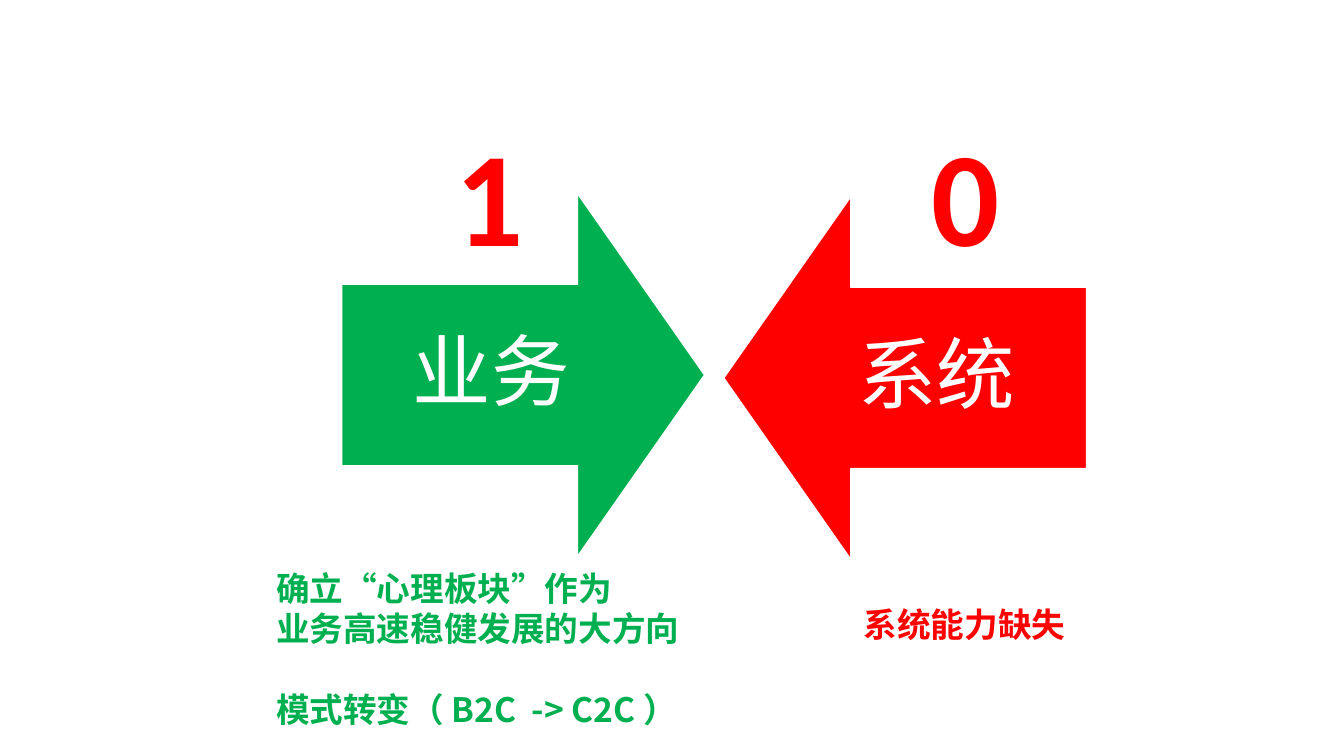
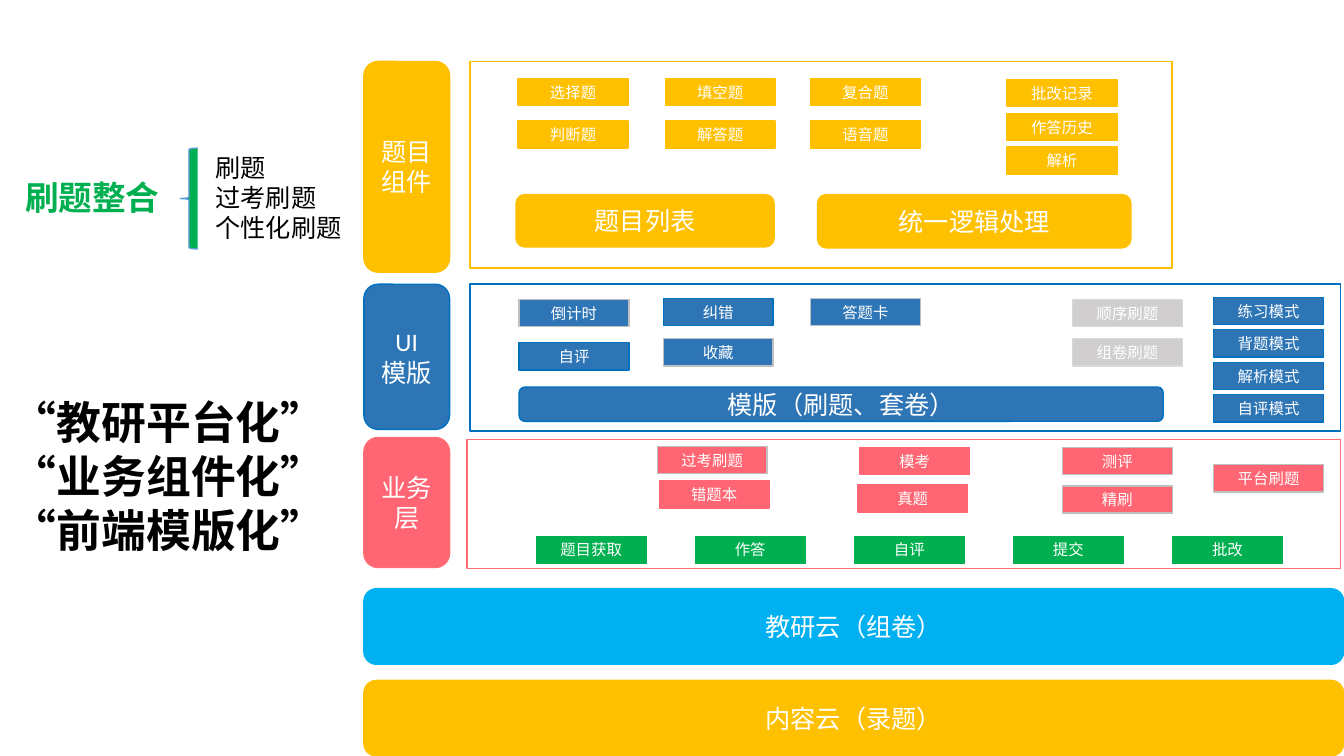
from pptx import Presentation
from pptx.dml.color import RGBColor
from pptx.enum.shapes import MSO_SHAPE as Shape
from pptx.enum.text import MSO_ANCHOR as Anchor, MSO_AUTO_SIZE as AutoSize, PP_ALIGN as Align
from pptx.util import Inches, Pt

CELL = Inches(0.1)
COLUMNS, ROWS = 133.33, 75
CHIP_WIDTH, CHIP_HEIGHT = 10.9, 2.7
LAYER_LEFT, LAYER_WIDTH = 36.1, 8.5
BODY, CHIP, HEAVY = "Calibri", "Roboto", "Noto Sans CJK SC"
WHITE, BLACK, GREEN, RED = "FFFFFF", "000000", "00B050", "FF0000"
AMBER, BLUE, BLUE_EDGE, SKY = "FFC000", "2E75B6", "0070C0", "00B0F0"
PINK, PINK_EDGE, SILVER = "FF6572", "FF6E73", "BFBFBF"
PALE, PALE_EDGE, BRACE_EDGE = "D0CECE", "D9D9D9", "5B9BD5"

LAYERS = [
    (6.1, 20.9, ["题目组件"], AMBER, AMBER),
    (28.2, 14.4, ["UI", "模版"], BLUE, BLUE_EDGE),
    (43.4, 12.9, ["业务层"], PINK, PINK_EDGE),
]
FRAMES = [
    (46.6, 6.1, 69.7, 20.5, AMBER),
    (46.6, 28.2, 86.4, 14.6, BLUE_EDGE),
    (46.3, 43.6, 86.7, 12.8, PINK_EDGE),
]
BARS = [
    (51.2, 19.3, 25.6, 5.2, "题目列表", AMBER, AMBER),
    (81.1, 19.3, 31.1, 5.3, "统一逻辑处理", AMBER, AMBER),
    (51.5, 38.4, 63.9, 3.4, "模版（刷题、套卷）", BLUE, BLUE_EDGE),
    (LAYER_LEFT, 58.4, 97.2, 7.5, "教研云（组卷）", SKY, SKY),
    (LAYER_LEFT, 67.5, 97.2, 7.5, "内容云（录题）", AMBER, AMBER),
]
CHIP_STACKS = [
    (51.4, 7.8, 4.2, ["选择题", "判断题"], AMBER, AMBER),
    (66, 7.8, 4.2, ["填空题", "解答题"], AMBER, AMBER),
    (80.4, 7.8, 4.2, ["复合题", "语音题"], AMBER, AMBER),
    (99.9, 7.9, 3.35, ["批改记录", "作答历史", "解析"], AMBER, AMBER),
    (51.5, 29.7, 0, ["倒计时"], BLUE, SILVER),
    (51.5, 34, 0, ["自评"], BLUE, BLUE_EDGE),
    (65.8, 29.6, 0, ["纠错"], BLUE, BLUE_EDGE),
    (65.8, 33.6, 0, ["收藏"], BLUE, SILVER),
    (80.4, 29.6, 0, ["答题卡"], BLUE, SILVER),
    (106.4, 29.7, 3.9, ["顺序刷题", "组卷刷题"], PALE, PALE_EDGE),
    (120.4, 29.5, 3.22, ["练习模式", "背题模式", "解析模式", "自评模式"], BLUE, BLUE_EDGE),
    (65.2, 44.3, 0, ["过考刷题"], PINK, SILVER),
    (65.4, 47.7, 0, ["错题本"], PINK, PINK),
    (85.3, 44.4, 0, ["模考"], PINK, PINK),
    (85.1, 48.1, 0, ["真题"], PINK, PINK),
    (105.4, 44.4, 3.8, ["测评", "精刷"], PINK, SILVER),
    (120.4, 46.1, 0, ["平台刷题"], PINK, SILVER),
]
STEPS = ["题目获取", "作答", "自评", "提交", "批改"]


def color(hex_code):
    """Turn a hex string into a colour."""
    return RGBColor.from_string(hex_code)


def cells(*counts):
    """Turn counts of grid cells into lengths."""
    return [round(count * CELL) for count in counts]


def write(frame, lines, size, font, ink, bold=False, align=Align.LEFT):
    """Write one paragraph per line and return the paragraphs."""
    for index, line in enumerate(lines):
        paragraph = frame.add_paragraph() if index else frame.paragraphs[0]
        paragraph.text = line
        paragraph.alignment = align
        paragraph.font.size = Pt(size)
        paragraph.font.name = font
        paragraph.font.bold = bold
        paragraph.font.color.rgb = color(ink)
    return frame.paragraphs


def add_note(slide, area, lines, size, ink, font=HEAVY, bold=True):
    """Add unwrapped free text and return its paragraphs."""
    frame = slide.shapes.add_textbox(*cells(*area)).text_frame
    frame.word_wrap = False
    frame.auto_size = AutoSize.SHAPE_TO_FIT_TEXT
    return write(frame, lines, size, font, ink, bold)


def add_block(slide, kind, area, fill, edge, weight=1):
    """Add a flat shape, hollow when fill is None."""
    block = slide.shapes.add_shape(kind, *cells(*area))
    block.shadow.inherit = False
    if fill:
        block.fill.solid()
        block.fill.fore_color.rgb = color(fill)
    else:
        block.fill.background()
    block.line.color.rgb = color(edge)
    block.line.width = Pt(weight)
    return block


def add_labelled(slide, kind, area, lines, fill, edge, size=18, font=BODY):
    """Add a shape with centred white text."""
    frame = add_block(slide, kind, area, fill, edge).text_frame
    frame.word_wrap = True
    frame.vertical_anchor = Anchor.MIDDLE
    write(frame, lines, size, font, WHITE, align=Align.CENTER)


def add_chip(slide, left, top, label, fill, edge):
    """Add one small feature chip."""
    area = (left, top, CHIP_WIDTH, CHIP_HEIGHT)
    add_labelled(slide, Shape.RECTANGLE, area, [label], fill, edge, 11, CHIP)


def add_arrow(slide, left, top, turn, label_left, label, fill):
    """Add a turned block arrow with its label over the shaft."""
    arrow = add_block(slide, Shape.DOWN_ARROW, (left, top, 36, 36), fill, WHITE)
    arrow.rotation = turn
    arrow.adjustments[0] = 0.5
    arrow.adjustments[1] = 0.35
    frame = slide.shapes.add_textbox(*cells(label_left, top + 9, 29.7, 18)).text_frame
    frame.word_wrap = True
    frame.vertical_anchor = Anchor.MIDDLE
    frame.margin_left = frame.margin_right = Inches(0.44)
    frame.margin_top = frame.margin_bottom = Inches(0.44)
    write(frame, [label], 56, BODY, WHITE, align=Align.CENTER)[0].line_spacing = 0.9


def build_conflict(slide):
    """Set business against system."""
    direction = ["确立“心理板块”作为", "业务高速稳健发展的大方向", "模式转变（ B2C  -> C2C ）"]
    goals = add_note(slide, (26.4, 55.8, 44.5, 17.2), direction, 24, GREEN)
    goals[-1].space_before = Pt(29)
    add_arrow(slide, 33.9, 19.2, 270, 33.9, "业务", GREEN)
    add_arrow(slide, 71.8, 19.5, 90, 78.1, "系统", RED)
    add_note(slide, (84.7, 59.4, 22.2, 5), ["系统能力缺失"], 24, RED)
    for left, score in ((91.4, "0"), (44.2, "1")):
        add_note(slide, (left, 10.6, 8.8, 17.2), [score], 96, RED, BODY)


def build_architecture(slide):
    """Show the layers of the question platform."""
    for *area, edge in FRAMES:
        add_block(slide, Shape.RECTANGLE, area, None, edge, 1.25)
    for top, height, lines, fill, edge in LAYERS:
        area = (LAYER_LEFT, top, LAYER_WIDTH, height)
        add_labelled(slide, Shape.ROUNDED_RECTANGLE, area, lines, fill, edge)
    for *area, label, fill, edge in BARS:
        add_labelled(slide, Shape.ROUNDED_RECTANGLE, area, [label], fill, edge)
    for left, top, pitch, labels, fill, edge in CHIP_STACKS:
        for row, label in enumerate(labels):
            add_chip(slide, left, top + row * pitch, label, fill, edge)
    for column, step in enumerate(STEPS):
        add_chip(slide, 53.2 + column * 15.78, 53.2, step, GREEN, GREEN)
    slogans = ["“教研平台化”", "“业务组件化”", "“前端模版化”"]
    add_note(slide, (0.2, 38.7, 34, 17.2), slogans, 32, BLACK, BODY)
    add_note(slide, (1.5, 17.1, 15.5, 5), ["刷题整合"], 24, GREEN)
    practice = ["刷题", "过考刷题", "个性化刷题"]
    add_note(slide, (20.4, 14.6, 14.6, 10.1), practice, 18, BLACK, bold=False)
    add_block(slide, Shape.LEFT_BRACE, (17.9, 14.7, 1.7, 10), GREEN, BRACE_EDGE)


def main():
    """Build and save the deck."""
    deck = Presentation()
    deck.slide_width, deck.slide_height = cells(COLUMNS, ROWS)
    for build in (build_conflict, build_architecture):
        build(deck.slides.add_slide(deck.slide_layouts[6]))
    deck.save("out.pptx")


if __name__ == "__main__":
    main()
